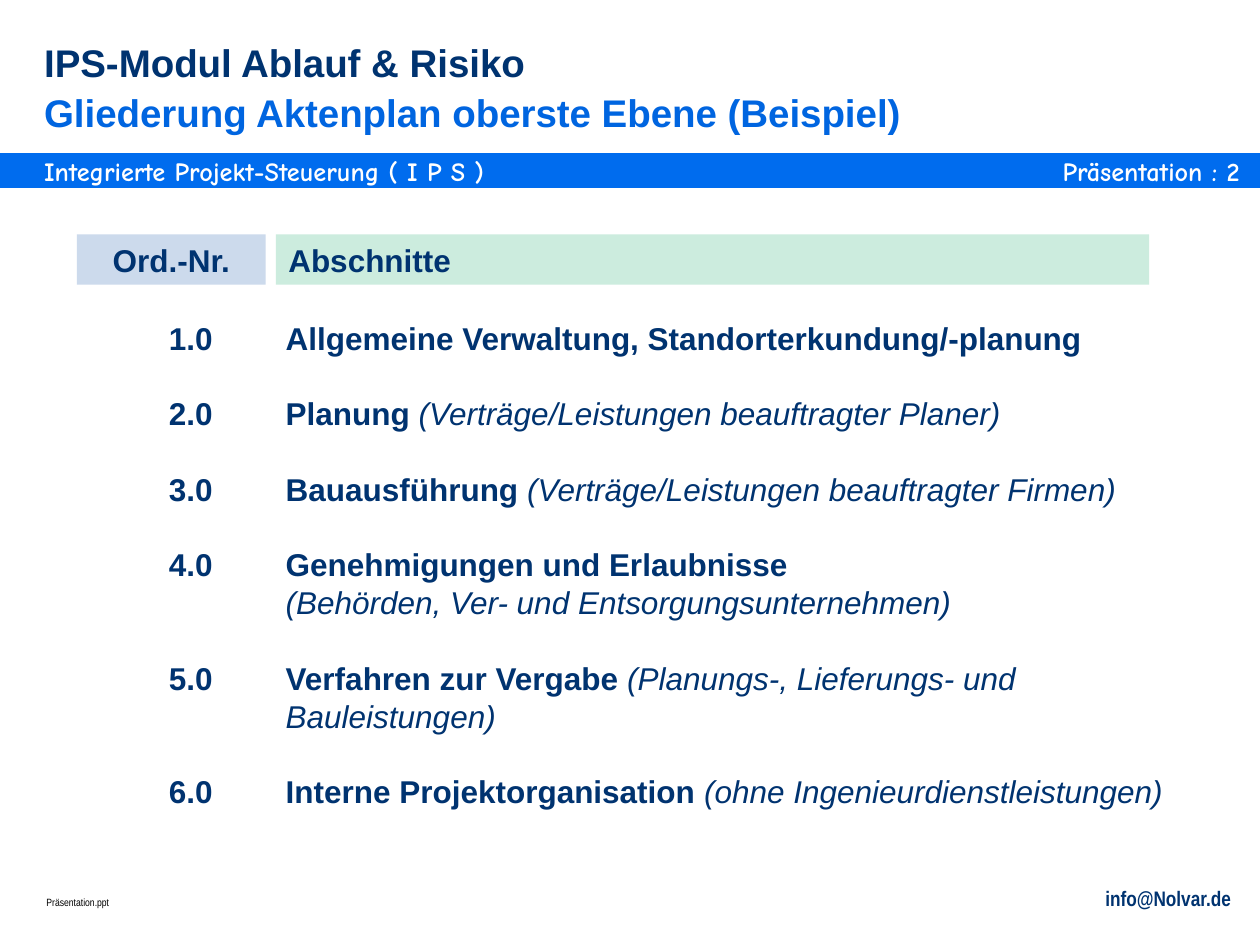
import pptx
import pptx.dml.color
import pptx.enum.shapes
import pptx.enum.text
import pptx.oxml
import pptx.oxml.ns
import pptx.util
from dataclasses import dataclass

ALIGN = pptx.enum.text.PP_ALIGN
ANCHOR = pptx.enum.text.MSO_ANCHOR
COLUMNS, ROWS = 100, 75


@dataclass(frozen=True)
class Theme:
    navy: str = "003370"
    blue: str = "0065E0"
    band: str = "006CEE"
    number_fill: str = "CCDAEC"
    section_fill: str = "CCECDE"
    white: str = "FFFFFF"
    black: str = "000000"
    body_font: str = "Arial"
    band_font: str = "Comic Neue"
    footer_font: str = "Arial Narrow"
    title_size: float = 22
    title_line: float = 28.5
    body_size: float = 18
    body_line: float = 21.6
    band_size: float = 15
    contact_size: float = 12
    file_size: float = 6


class SlideBuilder:
    def __init__(self, deck, theme):
        self.theme = theme
        self.column = deck.slide_width / COLUMNS
        self.row = deck.slide_height / ROWS
        self.page = deck.slides.add_slide(deck.slide_layouts[5])

    def place(self, left, top, width, height):
        return (round(left * self.column), round(top * self.row),
                round(width * self.column), round(height * self.row))

    def style_span(self, span, size, color, name=None, bold=True, italic=False):
        span.font.name = name or self.theme.body_font
        span.font.size = pptx.util.Pt(size)
        span.font.color.rgb = pptx.dml.color.RGBColor.from_string(color)
        span.font.bold = bold
        span.font.italic = italic

    def prepare(self, frame, inset=True, anchor=ANCHOR.MIDDLE):
        frame.word_wrap = True
        frame.auto_size = pptx.enum.text.MSO_AUTO_SIZE.NONE
        frame.vertical_anchor = anchor
        frame.margin_left = frame.margin_right = pptx.util.Inches(0.1 if inset else 0)
        frame.margin_top = frame.margin_bottom = pptx.util.Inches(0.05 if inset else 0)

    def title(self, lines, area):
        box = self.page.shapes.title
        box.left, box.top, box.width, box.height = self.place(*area)
        self.prepare(box.text_frame, inset=False, anchor=ANCHOR.BOTTOM)
        para = box.text_frame.paragraphs[0]
        para.text = "\v".join(lines)
        para.alignment = ALIGN.LEFT
        para.line_spacing = pptx.util.Pt(self.theme.title_line)
        for span, color in zip(para.runs, (self.theme.navy, self.theme.blue)):
            self.style_span(span, self.theme.title_size, color)

    def bar(self, area, fill, line_width=0):
        box = self.page.shapes.add_shape(
            pptx.enum.shapes.MSO_SHAPE.RECTANGLE, *self.place(*area))
        box.shadow.inherit = False
        box.fill.solid()
        box.fill.fore_color.rgb = pptx.dml.color.RGBColor.from_string(fill)
        if line_width:
            box.line.color.rgb = pptx.dml.color.RGBColor.from_string(fill)
            box.line.width = pptx.util.Pt(line_width)
        else:
            box.line.fill.background()
        return box

    def set_text(self, box, text, size, color, name=None, align=ALIGN.LEFT,
                 bold=True, inset=True):
        self.prepare(box.text_frame, inset)
        box.text_frame.text = text
        para = box.text_frame.paragraphs[0]
        para.alignment = align
        self.style_span(para.runs[0], size, color, name, bold)

    def label(self, area, *text_style, **options):
        box = self.page.shapes.add_textbox(*self.place(*area))
        self.set_text(box, *text_style, **options)

    def heading(self, area, fill, text, align):
        self.set_text(self.bar(area, fill), text, self.theme.body_size,
                      self.theme.navy, align=align)

    def add_tabs(self, para, stops):
        tabs = pptx.oxml.parse_xml(f"<a:tabLst {pptx.oxml.ns.nsdecls('a')}/>")
        for column, side in stops:
            tab = tabs.makeelement(pptx.oxml.ns.qn("a:tab"),
                                   {"pos": str(round(column * self.column)), "algn": side})
            tabs.append(tab)
        para._p.get_or_add_pPr().append(tabs)

    def outline(self, area, entries, stops):
        box = self.page.shapes.add_textbox(*self.place(*area))
        frame = box.text_frame
        self.prepare(frame, anchor=ANCHOR.TOP)
        for index, (number, heading, detail) in enumerate(entries):
            para = frame.add_paragraph() if index else frame.paragraphs[0]
            para.line_spacing = pptx.util.Pt(self.theme.body_line)
            if index and number:
                para.space_before = pptx.util.Pt(self.theme.body_line)
            self.add_tabs(para, stops)
            for text, bold in ((f"\t{number}\t{heading}", True), (detail, False)):
                if text:
                    span = para.add_run()
                    span.text = text
                    self.style_span(span, self.theme.body_size, self.theme.navy,
                                    bold=bold, italic=not bold)


ENTRIES = [
    ("1.0", "Allgemeine Verwaltung, Standorterkundung/-planung", ""),
    ("2.0", "Planung ", "(Verträge/Leistungen beauftragter Planer)"),
    ("3.0", "Bauausführung ", "(Verträge/Leistungen beauftragter Firmen)"),
    ("4.0", "Genehmigungen und Erlaubnisse", ""),
    ("", "", "(Behörden, Ver- und Entsorgungsunternehmen)"),
    ("5.0", "Verfahren zur Vergabe ", "(Planungs-, Lieferungs- und"),
    ("", "", "Bauleistungen)"),
    ("6.0", "Interne Projektorganisation ", "(ohne Ingenieurdienstleistungen)"),
]


def main():
    deck = pptx.Presentation()
    deck.slide_width = pptx.util.Inches(10)
    deck.slide_height = pptx.util.Inches(7.5)
    theme = Theme()
    slide = SlideBuilder(deck, theme)

    slide.bar((0, 12.3, COLUMNS, 2.5), theme.band, line_width=2)
    band_style = (theme.band_size, theme.white, theme.band_font)
    slide.label((3.5, 12.3, 60, 2.5), "Integrierte Projekt-Steuerung ( I P S )",
                *band_style, inset=False)
    slide.label((76, 12.3, 22.4, 2.5), "Präsentation : 2",
                *band_style, align=ALIGN.RIGHT, inset=False)

    slide.title(("IPS-Modul Ablauf & Risiko",
                 "Gliederung Aktenplan oberste Ebene (Beispiel)"), (3.5, 2.8, 88.2, 7.9))

    slide.heading((6.1, 18.6, 15, 4), theme.number_fill, "Ord.-Nr.", ALIGN.CENTER)
    slide.heading((21.9, 18.6, 69.3, 4), theme.section_fill, "Abschnitte", ALIGN.LEFT)
    slide.outline((5.1, 24.8, 90, 40), ENTRIES, ((10.8, "r"), (16.6, "l")))

    slide.label((57.9, 69.8, 40.8, 3), "info@Nolvar.de", theme.contact_size,
                theme.navy, theme.footer_font, align=ALIGN.RIGHT)
    slide.label((2.7, 70.6, 40.8, 2), "Präsentation.ppt", theme.file_size,
                theme.black, theme.footer_font, bold=False)
    deck.save("out.pptx")


if __name__ == "__main__":
    main()
